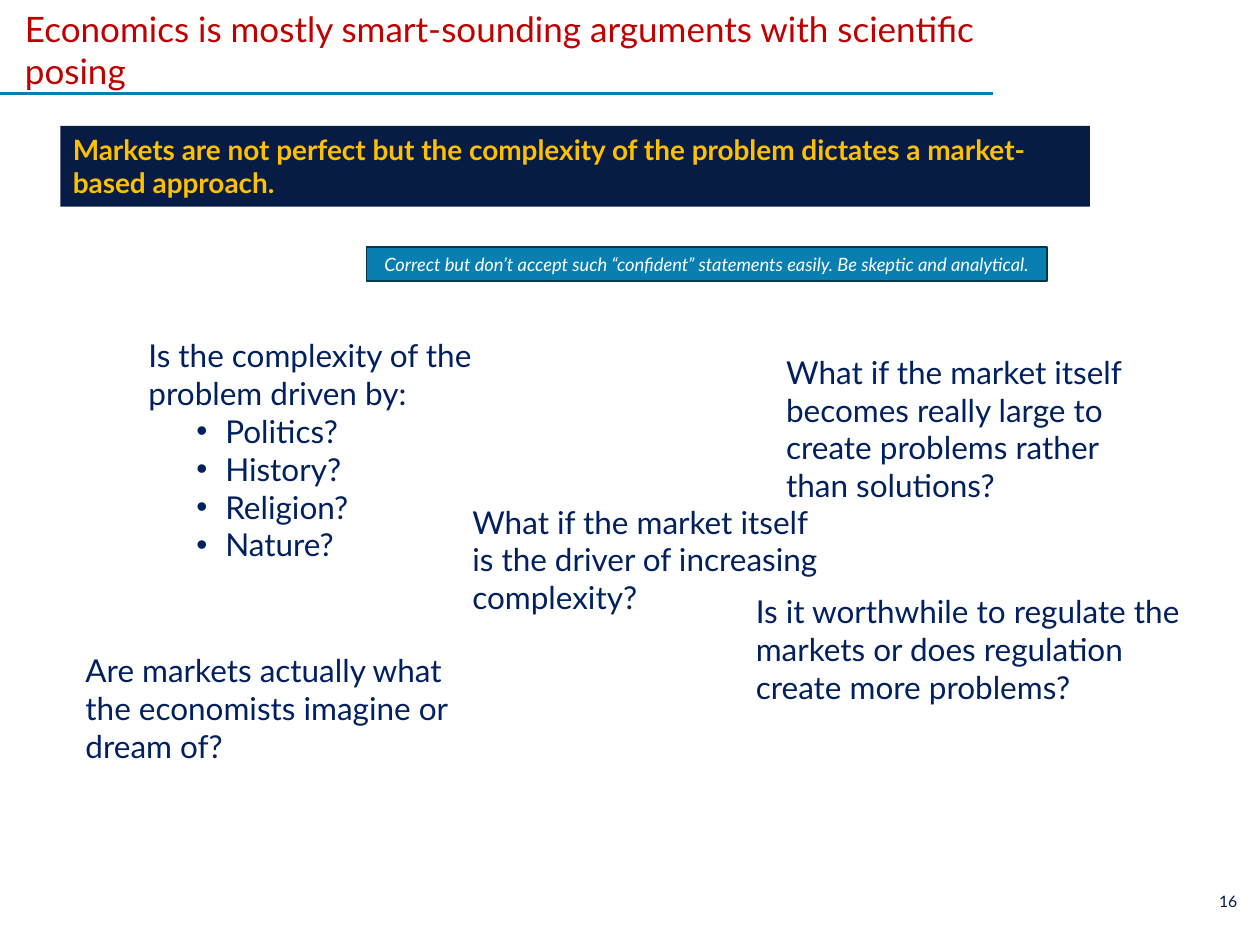
from pptx import Presentation
from pptx.dml.color import RGBColor
from pptx.enum.shapes import MSO_CONNECTOR, MSO_SHAPE
from pptx.enum.text import MSO_ANCHOR, PP_ALIGN
from pptx.oxml.ns import qn
from pptx.util import Inches, Pt
from lxml import etree

RECT, PROCESS = MSO_SHAPE.RECTANGLE, MSO_SHAPE.FLOWCHART_PROCESS
LEFT, CENTER, RIGHT = PP_ALIGN.LEFT, PP_ALIGN.CENTER, PP_ALIGN.RIGHT
TOP, MIDDLE = MSO_ANCHOR.TOP, MSO_ANCHOR.MIDDLE

THEME = {
    "font": "Lato",
    "color": {"title": "C00000", "rule": "097EB1", "banner": "061C44", "gold": "FFC000",
              "body": "002060", "edge": "04374E", "white": "FFFFFF", "number": "061D48"},
    "size": {"title": 20, "banner": 16, "body": 18, "callout": 10.5, "number": 9},
}

# Places are (column, row, columns, rows) on a grid of 100 columns by 75 rows.
COLS, ROWS = 100, 75
TITLE = ("Economics is mostly smart-sounding arguments with scientific posing", (1, 0.1, 77.7, 7.7))
RULE = (0, 7.4, 78.8)
BANNER = ("Markets are not perfect but the complexity of the problem dictates a market-based approach.",
          (4.8, 10, 81.7, 6.4))
CALLOUT = ("Correct but don’t accept such “confident” statements easily. Be skeptic and analytical.",
           (29.1, 19.6, 54, 2.7))
QUESTIONS = [
    ("Is the complexity of the problem driven by:", ["Politics?", "History?", "Religion?", "Nature?"],
     (10.8, 26.2, 34.6, 19.2)),
    ("What if the market itself becomes really large to create problems rather than solutions?", [],
     (61.4, 27.5, 30.8, 13.1)),
    ("What if the market itself is the driver of increasing complexity?", [],
     (36.5, 39.4, 30.8, 10.1)),
    ("Are markets actually what the economists imagine or dream of?", [],
     (5.8, 51.2, 30.9, 10.1)),
    ("Is it worthwhile to regulate the markets or does regulation create more problems?", [],
     (59, 46.5, 35.8, 10.1)),
]
NUMBER = ("16", (95.1, 70.8, 3.1, 1.5))

prs = Presentation()
prs.slide_width, prs.slide_height = Inches(10), Inches(7.5)
s = prs.slides.add_slide(prs.slide_layouts[6])


def color(name):
    return RGBColor.from_string(THEME["color"][name])


def grid(col, row):
    return int(prs.slide_width * col / COLS), int(prs.slide_height * row / ROWS)


def add_bullet(p):
    pPr = p._p.get_or_add_pPr()
    pPr.set("lvl", "1")
    pPr.set("marL", str(Inches(0.61)))
    pPr.set("indent", str(Inches(-0.23)))
    etree.SubElement(pPr, qn("a:buFont"), typeface="Arial")
    etree.SubElement(pPr, qn("a:buChar"), char="•")


def add_text(text, place, size, ink, shape=None, fill=None, edge=None, bullets=(),
             align=LEFT, anchor=TOP, bold=False, italic=False, inset=True):
    """Add a text box, or a filled shape when a preset is given."""
    box = grid(*place[:2]) + grid(*place[2:])
    if shape is None:
        sp = s.shapes.add_textbox(*box)
    else:
        sp = s.shapes.add_shape(shape, *box)
        sp.shadow.inherit = False
        sp.fill.solid()
        sp.fill.fore_color.rgb = color(fill)
        if edge:
            sp.line.color.rgb = color(edge)
            sp.line.width = Pt(1)
        else:
            sp.line.fill.background()
    tf = sp.text_frame
    tf.word_wrap = True
    tf.vertical_anchor = anchor
    if not inset:
        tf.margin_left = tf.margin_right = tf.margin_top = tf.margin_bottom = 0
    for i, line in enumerate([text, *bullets]):
        p = tf.add_paragraph() if i else tf.paragraphs[0]
        p.alignment = align
        if i:
            add_bullet(p)
        r = p.add_run()
        r.text = line
        r.font.name = THEME["font"]
        r.font.size = Pt(THEME["size"][size])
        r.font.color.rgb = color(ink)
        r.font.bold, r.font.italic = bold, italic


def add_rule(col, row, width):
    line = s.shapes.add_connector(MSO_CONNECTOR.STRAIGHT, *grid(col, row), *grid(col + width, row))
    line.line.color.rgb = color("rule")
    line.line.width = Pt(1.5)
    etree.SubElement(line._element.spPr, qn("a:effectLst"))


add_rule(*RULE)
add_text(*NUMBER, "number", "number", align=RIGHT, inset=False)
add_text(*BANNER, "banner", "gold", shape=RECT, fill="banner", bold=True)
for question, bullets, place in QUESTIONS:
    add_text(question, place, "body", "body", bullets=bullets)
add_text(*CALLOUT, "callout", "white", shape=PROCESS, fill="rule", edge="edge",
         align=CENTER, anchor=MIDDLE, italic=True)
add_text(*TITLE, "title", "title")

prs.save("out.pptx")
